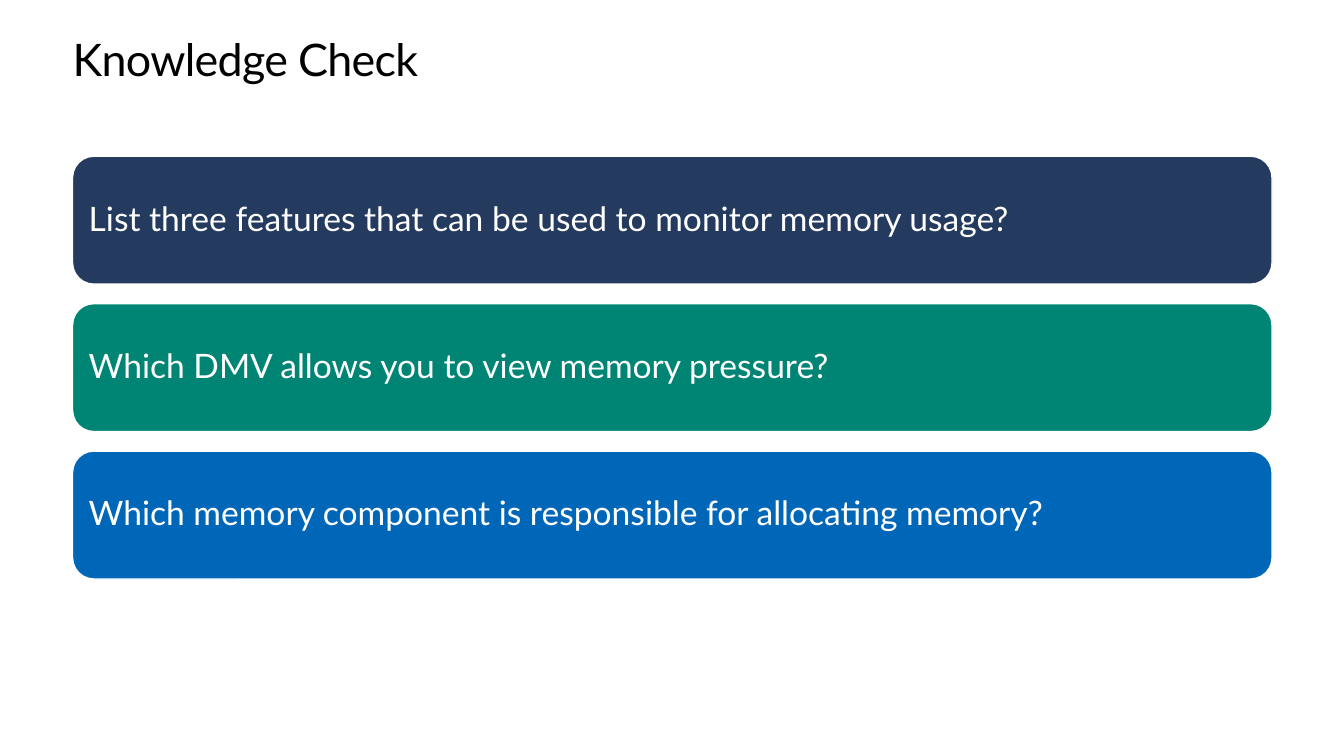
"""Build the Knowledge Check slide with three question cards."""
from pptx import Presentation
from pptx.dml.color import RGBColor
from pptx.enum.shapes import MSO_SHAPE as SHAPE
from pptx.enum.text import MSO_ANCHOR as ANCHOR, MSO_AUTO_SIZE as FIT, PP_ALIGN as ALIGN
from pptx.util import Pt

BLACK = RGBColor(0x00, 0x00, 0x00)
WHITE = RGBColor(0xFF, 0xFF, 0xFF)
NAVY = RGBColor(0x24, 0x3A, 0x5E)
GREEN = RGBColor(0x00, 0x85, 0x75)
BLUE = RGBColor(0x00, 0x67, 0xB8)

LEFT, WIDTH = 51.84, 856.8
CARD_TOP, CARD_HEIGHT, CARD_PITCH = 111.6, 91.4, 105.3
QUESTIONS = [
    ("List three features that can be used to monitor memory usage?", NAVY),
    ("Which DMV allows you to view memory pressure?", GREEN),
    ("Which memory component is responsible for allocating memory?", BLUE),
]


class Deck:
    """Hold the text style and the current slide."""

    font = "Lato"

    def __init__(self, prs):
        self.slide = prs.slides.add_slide(prs.slide_layouts[5])

    def set_text(self, sp, text, size, color, inset, anchor, spacing):
        """Put one left-aligned paragraph into a shape."""
        tf = sp.text_frame
        frame = {"word_wrap": True, "auto_size": FIT.NONE, "vertical_anchor": anchor}
        frame.update({f"margin_{side}": Pt(inset) for side in ("left", "top", "right", "bottom")})
        p = tf.paragraphs[0]
        r = p.add_run()
        r.text = text
        r.font.color.rgb = color
        formats = [
            (tf, frame),
            (p, {"alignment": ALIGN.LEFT, "line_spacing": spacing}),
            (r.font, {"name": self.font, "size": Pt(size)}),
        ]
        for target, values in formats:
            for name, value in values.items():
                setattr(target, name, value)
        return r

    def title(self, text, x, y, w, h):
        """Move and fill the title placeholder."""
        sp = self.slide.shapes.title
        for name, value in {"left": x, "top": y, "width": w, "height": h}.items():
            setattr(sp, name, Pt(value))
        r = self.set_text(sp, text, 32, BLACK, 0, ANCHOR.TOP, Pt(36.2))
        r.font._element.set("spc", "-50")

    def card(self, text, fill, x, y, w, h):
        """Add a rounded card with a question."""
        sp = self.slide.shapes.add_shape(SHAPE.ROUNDED_RECTANGLE, Pt(x), Pt(y), Pt(w), Pt(h))
        sp.shadow.inherit = False
        sp.fill.solid()
        sp.fill.fore_color.rgb = fill
        sp.line.color.rgb = WHITE
        sp.line.width = Pt(1)
        self.set_text(sp, text, 24, WHITE, 7.2, ANCHOR.MIDDLE, 0.9)


def main():
    prs = Presentation()
    prs.slide_width, prs.slide_height = Pt(960), Pt(540)
    deck = Deck(prs)
    deck.title("Knowledge Check", LEFT, 25.2, WIDTH, 36)
    for i, (text, fill) in enumerate(QUESTIONS):
        deck.card(text, fill, LEFT, CARD_TOP + i * CARD_PITCH, WIDTH, CARD_HEIGHT)
    prs.save("out.pptx")


if __name__ == "__main__":
    main()
